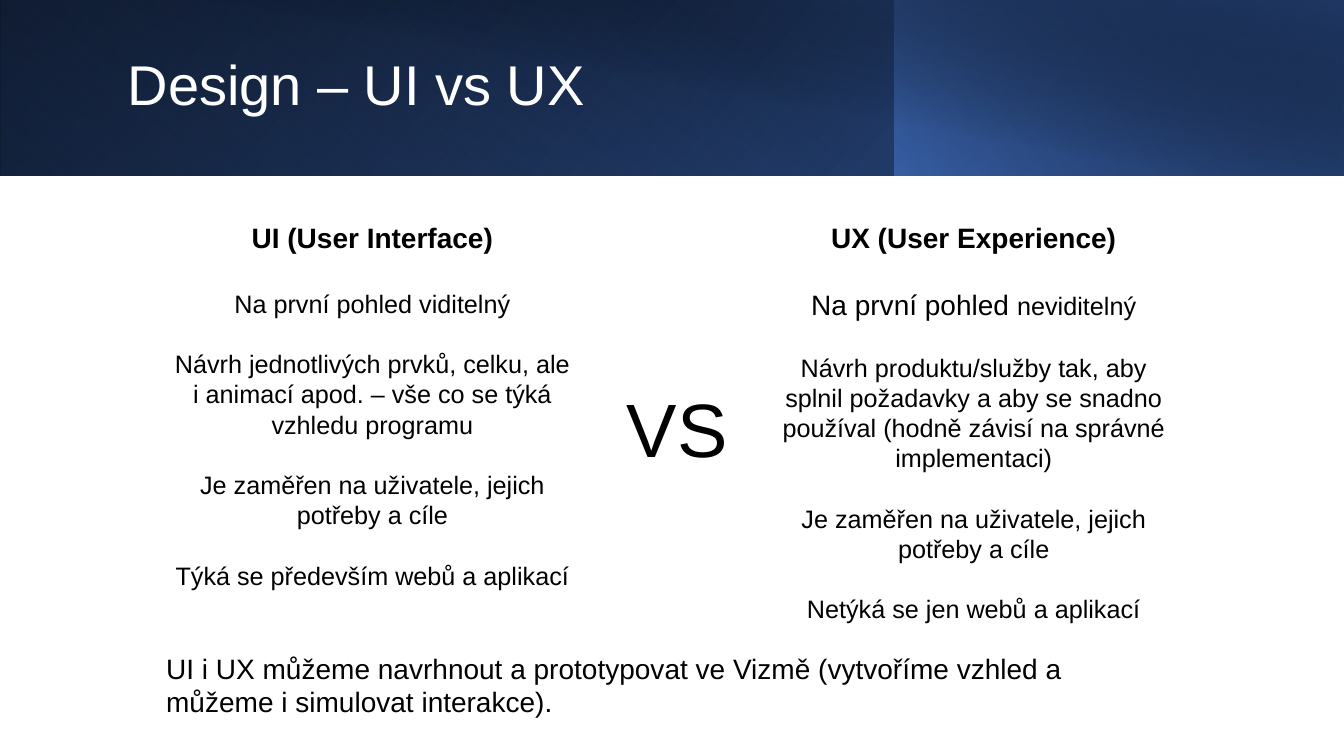
from dataclasses import dataclass

from lxml import etree
from pptx import Presentation
from pptx.dml.color import RGBColor
from pptx.enum.shapes import MSO_SHAPE
from pptx.enum.text import MSO_ANCHOR, MSO_AUTO_SIZE, PP_ALIGN
from pptx.oxml.ns import qn
from pptx.util import Pt

RECT = MSO_SHAPE.RECTANGLE
LEFT, CENTER = PP_ALIGN.LEFT, PP_ALIGN.CENTER
MIDDLE, TOP = MSO_ANCHOR.MIDDLE, MSO_ANCHOR.TOP
NO_FIT = MSO_AUTO_SIZE.NONE


@dataclass(frozen=True)
class Theme:
    font: str = "Arial"
    ink: str = "000000"
    white: str = "FFFFFF"
    blue: str = "4472C4"
    deep: str = "2F5496"
    navy: str = "1F3864"
    title: int = 40
    versus: int = 54
    head: int = 20
    body: int = 18


THEME = Theme()


def add_run(para, text, size, color=THEME.ink, bold=False):
    run = para.add_run()
    run.text = text
    font = run.font
    font.name, font.size, font.bold = THEME.font, Pt(size), bold
    font.color.rgb = RGBColor.from_string(color)


def add_box(slide, box, wrap=True, pad=3.6):
    """Add an empty text box; pad is its top and bottom inset."""
    frame = slide.shapes.add_textbox(*map(Pt, box)).text_frame
    frame.word_wrap = wrap
    frame.auto_size = NO_FIT
    frame.vertical_anchor = TOP
    frame.margin_left = frame.margin_right = Pt(7.2)
    frame.margin_top = frame.margin_bottom = Pt(pad)
    return frame


def set_fade(shape, stops, angle):
    """Fill with a gradient of (position, colour, opacity) stops in percent."""
    fill = etree.Element(qn("a:gradFill"), rotWithShape="1")
    group = etree.SubElement(fill, qn("a:gsLst"))
    for pos, color, alpha in stops:
        stop = etree.SubElement(group, qn("a:gs"), pos=str(pos * 1000))
        tint = etree.SubElement(stop, qn("a:srgbClr"), val=color)
        if alpha < 100:
            etree.SubElement(tint, qn("a:alpha"), val=str(alpha * 1000))
    etree.SubElement(fill, qn("a:lin"), ang=str(angle * 60000), scaled="0")
    shape.element.spPr.find(qn("a:prstGeom")).addnext(fill)


def add_banner(slide, box):
    """Stack four gradient layers behind the title."""
    x, y, width, height = box
    t = THEME
    split = width * 2 / 3 - 1
    layers = [
        (0, width, 0, True, 140, [(0, t.ink, 100), (100, t.deep, 100)]),
        (0, split, 180, True, 230,
         [(0, t.blue, 0), (20, t.blue, 0), (100, t.navy, 54)]),
        (split, width - split, 0, True, 220,
         [(0, t.blue, 65), (100, t.ink, 29)]),
        (36, width - 36, 0, False, 280,
         [(0, t.ink, 0), (50, t.ink, 0), (99, t.navy, 51), (100, t.navy, 51)]),
    ]
    for left, span, turn, flip, angle, stops in layers:
        place = map(Pt, (x + left, y, span, height))
        shape = slide.shapes.add_shape(RECT, *place)
        shape.shadow.inherit = False
        shape.line.fill.background()
        shape.rotation = turn
        if flip:
            shape.element.spPr.find(qn("a:xfrm")).set("flipH", "1")
        set_fade(shape, stops, angle)
        slide.shapes.title.element.addprevious(shape.element)


def set_title(slide, box, text):
    title = slide.shapes.title
    title.left, title.top, title.width, title.height = map(Pt, box)
    frame = title.text_frame
    frame.auto_size = NO_FIT
    frame.vertical_anchor = MIDDLE
    para = frame.paragraphs[0]
    para.alignment, para.line_spacing = LEFT, 0.9
    add_run(para, text, THEME.title, THEME.white)


def add_column(slide, box, head, points):
    """Add a centred column; each point is a list of (text, size) runs."""
    frame = add_box(slide, box, pad=7.2)
    para = frame.paragraphs[0]
    para.alignment = CENTER
    add_run(para, head, THEME.head, bold=True)
    gap = THEME.head
    for runs in points:
        para = frame.add_paragraph()
        para.alignment = CENTER
        para.space_before = Pt(gap * 1.2)
        for text, size in runs:
            add_run(para, text, size)
        gap = THEME.body


def add_label(slide, box, text, size, wrap=True):
    add_run(add_box(slide, box, wrap).paragraphs[0], text, size)


def build_slide(deck):
    slide = deck.slides.add_slide(deck.slide_layouts[5])
    head, body = THEME.head, THEME.body
    add_banner(slide, (0, 0, 960, 125.5))
    set_title(slide, (84, 22, 799, 81.5), "Design – UI vs UX")
    focus = [("Je zaměřen na uživatele, jejich potřeby a cíle", body)]
    add_column(slide, (550.8, 150.5, 289.4, 327), "UX (User Experience)", [
        [("Na první pohled ", head), ("neviditelný", body)],
        [("Návrh produktu/služby tak, aby splnil požadavky a aby se snadno "
          "používal (hodně závisí na správné implementaci)", body)],
        focus,
        [("Netýká se jen webů a aplikací", body)],
    ])
    add_column(slide, (114.5, 150.5, 303, 281), "UI (User Interface)", [
        [("Na první pohled viditelný", body)],
        [("Návrh jednotlivých prvků, celku, ale i animací apod. – vše co se "
          "týká vzhledu programu", body)],
        focus,
        [("Týká se především webů a aplikací", body)],
    ])
    add_label(slide, (440.6, 269.3, 87, 72.7), "VS", THEME.versus, wrap=False)
    add_label(slide, (111.6, 461.5, 736.6, 55.5),
              "UI i UX můžeme navrhnout a prototypovat ve Vizmě (vytvoříme "
              "vzhled a můžeme i simulovat interakce).", head)


def main():
    deck = Presentation()
    deck.slide_width, deck.slide_height = Pt(960), Pt(540)
    build_slide(deck)
    deck.save("out.pptx")


if __name__ == "__main__":
    main()
